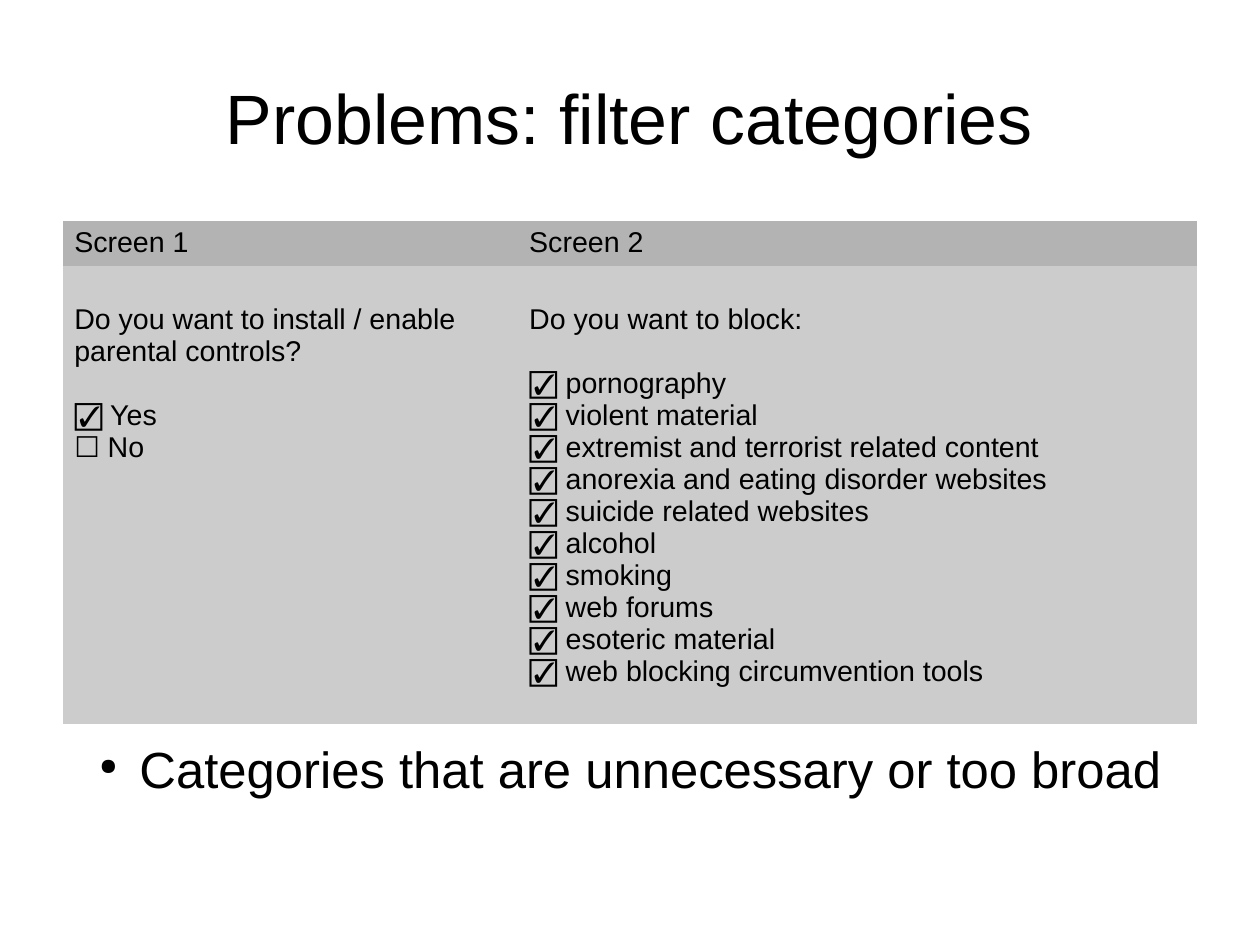
from dataclasses import dataclass

from lxml import etree
from pptx import Presentation
from pptx.dml.color import RGBColor
from pptx.enum.text import MSO_ANCHOR, PP_ALIGN
from pptx.oxml.ns import qn
from pptx.util import Inches, Pt

MIDDLE = MSO_ANCHOR.MIDDLE
CENTER, LEFT = PP_ALIGN.CENTER, PP_ALIGN.LEFT
BLANK_LAYOUT = 6
PLAIN_TABLE_STYLE = "{2D5ABB26-0587-4C30-8999-92F81FD0307C}"
CENTIMETRES_PER_INCH = 2.54


@dataclass(frozen=True)
class Theme:
    """Font, colours and type sizes of the slide."""
    font: str = "Arial"
    text: str = "000000"
    header: str = "B3B3B3"
    body: str = "CCCCCC"
    title_size: int = 44
    point_size: int = 32
    table_size: int = 18


THEME = Theme()
CHECKED, UNCHECKED = "\u2611", "\u2610"
BLOCKED_CATEGORIES = [
    "pornography", "violent material", "extremist and terrorist related content",
    "anorexia and eating disorder websites", "suicide related websites", "alcohol",
    "smoking", "web forums", "esoteric material", "web blocking circumvention tools",
]
SCREENS = [
    ("Screen 1", "Do you want to install / enable parental controls?",
     [f"{CHECKED} Yes", f"{UNCHECKED} No"]),
    ("Screen 2", "Do you want to block:",
     [f"{CHECKED} {category}" for category in BLOCKED_CATEGORIES]),
]


def set_attributes(target, values):
    """Set every attribute named in a dict of format values."""
    for name, value in values.items():
        setattr(target, name, value)


def write_paragraph(paragraph, text, size, **formats):
    """Fill one paragraph with text in the theme font."""
    run = paragraph.add_run()
    run.text = text
    set_attributes(run.font, {"name": THEME.font, "size": Pt(size)})
    run.font.color.rgb = RGBColor.from_string(THEME.text)
    set_attributes(paragraph, formats)


def add_text_box(slide, box):
    """Add a wrapping text box without margins and return its text frame."""
    frame = slide.shapes.add_textbox(*map(Inches, box)).text_frame
    set_attributes(frame, {"word_wrap": True, "margin_left": 0, "margin_top": 0,
                           "margin_right": 0, "margin_bottom": 0})
    return frame


def add_title(slide, box, text):
    """Add the centred slide title."""
    frame = add_text_box(slide, box)
    frame.vertical_anchor = MIDDLE
    write_paragraph(frame.paragraphs[0], text, THEME.title_size, alignment=CENTER)


def fill_cell(cell, color, margin_top):
    """Give a table cell its fill and margins."""
    cell.fill.solid()
    cell.fill.fore_color.rgb = RGBColor.from_string(color)
    set_attributes(cell, {"margin_left": Inches(0.1), "margin_right": Inches(0.1),
                          "margin_top": Inches(margin_top), "margin_bottom": Inches(0.05)})


def add_screen_table(slide, box, screens, first_width=3.98, header_height=0.4):
    """Add a table with one column for each filter setup screen."""
    width, height = box[2:]
    frame = slide.shapes.add_table(2, len(screens), *map(Inches, box))
    table = frame.table
    set_attributes(table, {"first_row": False, "horz_banding": False})
    next(frame.element.iter(qn("a:tableStyleId"))).text = PLAIN_TABLE_STYLE
    for column, column_width in zip(table.columns, (first_width, width - first_width)):
        column.width = Inches(column_width)
    for row, row_height in zip(table.rows, (header_height, height - header_height)):
        row.height = Inches(row_height)

    for index, (heading, question, options) in enumerate(screens):
        header, body = table.cell(0, index), table.cell(1, index)
        fill_cell(header, THEME.header, 0.05)
        fill_cell(body, THEME.body, 0.33)
        write_paragraph(header.text_frame.paragraphs[0], heading, THEME.table_size)
        write_paragraph(body.text_frame.paragraphs[0], question, THEME.table_size)
        for position, option in enumerate(options):
            write_paragraph(body.text_frame.add_paragraph(), option, THEME.table_size,
                            space_before=Pt(0 if position else 20))


def add_bullet_point(slide, box, text):
    """Add the bulleted conclusion below the table."""
    paragraph = add_text_box(slide, box).paragraphs[0]
    write_paragraph(paragraph, text, THEME.point_size, alignment=LEFT, space_after=Pt(14.2))
    properties = paragraph._p.get_or_add_pPr()
    properties.set("marL", str(Inches(0.47)))
    properties.set("indent", str(Inches(-0.35)))
    color = etree.SubElement(properties, qn("a:buClr"))
    etree.SubElement(color, qn("a:srgbClr"), val=THEME.text)
    etree.SubElement(properties, qn("a:buSzPct"), val="45000")
    etree.SubElement(properties, qn("a:buChar"), char="\u25cf")


def build_slide(presentation):
    """Place title, screen table and conclusion on a blank slide."""
    slide = presentation.slides.add_slide(presentation.slide_layouts[BLANK_LAYOUT])
    add_title(slide, (0.55, 0.33, 9.92, 1.38), "Problems: filter categories")
    add_screen_table(slide, (0.55, 1.93, 9.92, 4.4), SCREENS)
    add_bullet_point(slide, (0.75, 6.45, 9.6, 0.59),
                     "Categories that are unnecessary or too broad")


presentation = Presentation()
presentation.slide_width = Inches(28 / CENTIMETRES_PER_INCH)
presentation.slide_height = Inches(21 / CENTIMETRES_PER_INCH)
build_slide(presentation)
presentation.save("out.pptx")
